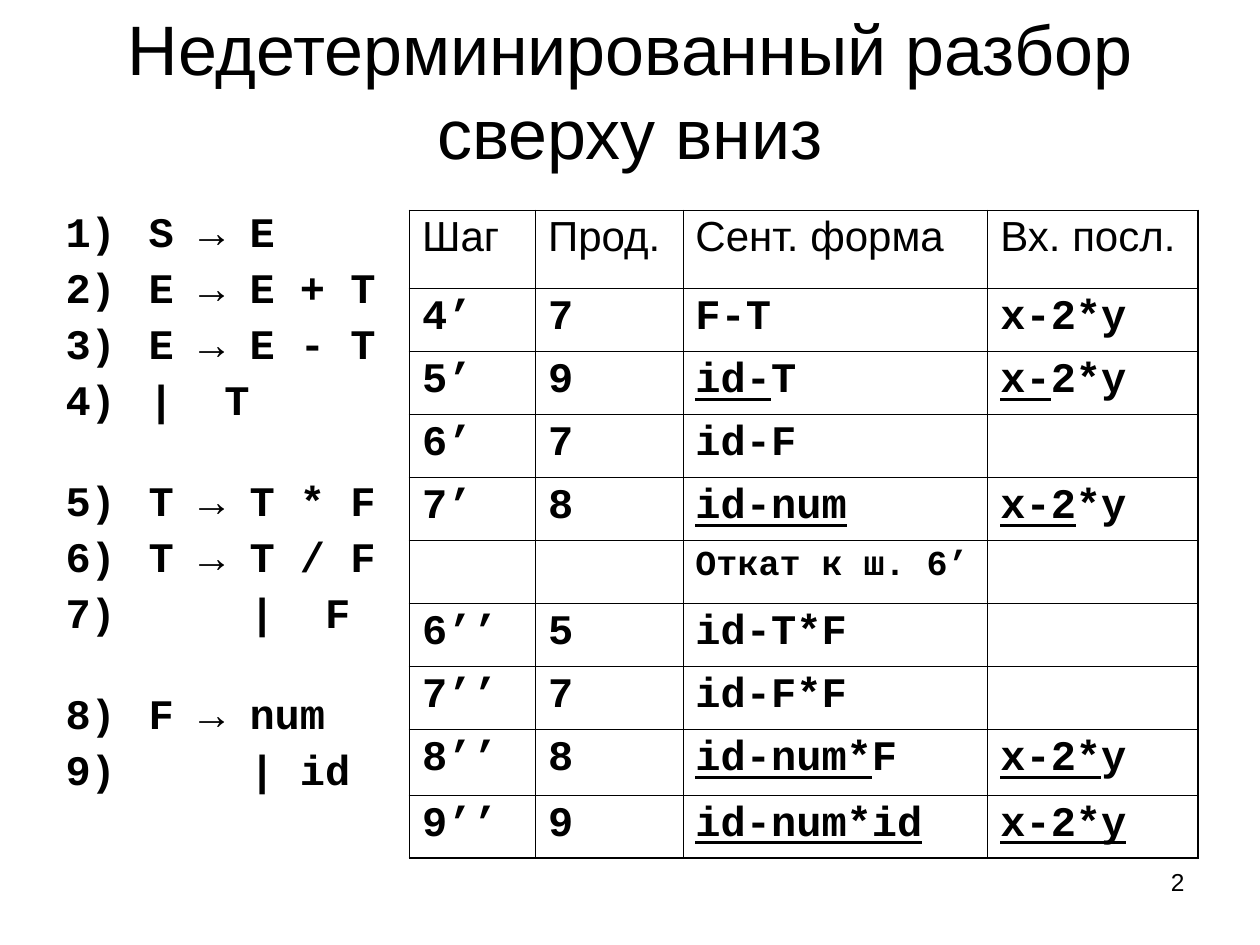
from dataclasses import dataclass

from lxml.etree import SubElement
from pptx import Presentation
from pptx.dml.color import RGBColor
from pptx.enum.text import MSO_ANCHOR, MSO_AUTO_SIZE, PP_ALIGN
from pptx.oxml import parse_xml
from pptx.oxml.ns import nsdecls, qn
from pptx.util import Inches, Pt


@dataclass(frozen=True)
class Theme:
    ink: str = "000000"
    sans: str = "Arial"
    mono: str = "Courier New"
    title_size: int = 40
    text_size: int = 24
    note_size: int = 20
    number_size: int = 14
    outer_line: float = 1.08
    inner_line: float = 0.45


THEME = Theme()
INK = RGBColor.from_string(THEME.ink)
TITLE_FONT = {"name": THEME.sans, "size": Pt(THEME.title_size), "bold": False}
HEADER_FONT = {"name": THEME.sans, "size": Pt(THEME.text_size), "bold": False}
CODE_FONT = {"name": THEME.mono, "size": Pt(THEME.text_size), "bold": True}
NOTE_FONT = {**CODE_FONT, "size": Pt(THEME.note_size)}
NUMBER_FONT = {"name": THEME.sans, "size": Pt(THEME.number_size)}

GRAMMAR_GROUPS = [
    ["S → E", "E → E + T", "E → E - T", "|  T"],
    ["T → T * F", "T → T / F", "    |  F"],
    ["F → num", "    | id"],
]
HEADERS = ["Шаг", "Прод.", "Сент. форма", "Вх. посл."]
ROLLBACK = "Откат к ш. 6’"
UNDERLINE_END = "|"
STEPS = [
    ["4’", "7", "F-T", "x-2*y"],
    ["5’", "9", "id-|T", "x-|2*y"],
    ["6’", "7", "id-F", ""],
    ["7’", "8", "id-num|", "x-2|*y"],
    ["", "", ROLLBACK, ""],
    ["6’’", "5", "id-T*F", ""],
    ["7’’", "7", "id-F*F", ""],
    ["8’’", "8", "id-num*|F", "x-2*|y"],
    ["9’’", "9", "id-num*id|", "x-2*y|"],
]
COLUMN_WIDTHS = [1, 1.17, 2.42, 1.67]
ROW_HEIGHTS = [0.62] + [0.5] * 7 + [0.52, 0.5]


def apply_format(target, values):
    for name, value in values.items():
        setattr(target, name, value)


def add_run(paragraph, text, font_values):
    run = paragraph.add_run()
    run.text = text
    apply_format(run.font, font_values)
    run.font.color.rgb = INK


def place(shape, box):
    values = [Inches(length) for length in box]
    apply_format(shape, dict(zip(("left", "top", "width", "height"), values)))


def fill_title(shape, box):
    place(shape, box)
    apply_format(shape.text_frame, {
        "word_wrap": True,
        "auto_size": MSO_AUTO_SIZE.NONE,
        "vertical_anchor": MSO_ANCHOR.MIDDLE,
    })
    paragraph = shape.text_frame.paragraphs[0]
    paragraph.alignment = PP_ALIGN.CENTER
    add_run(paragraph, "Недетерминированный разбор сверху вниз", TITLE_FONT)


def number_paragraph(paragraph):
    properties = paragraph._p.get_or_add_pPr()
    properties.set("marL", str(Inches(0.66)))
    properties.set("indent", str(-Inches(0.66)))
    color = SubElement(properties, qn("a:buClr"))
    SubElement(color, qn("a:srgbClr"), val=THEME.ink)
    SubElement(properties, qn("a:buFont"), typeface=THEME.mono)
    SubElement(properties, qn("a:buAutoNum"), type="arabicParenR")


def fill_grammar(shape, box):
    place(shape, box)
    frame = shape.text_frame
    apply_format(frame, {
        "word_wrap": True,
        "auto_size": MSO_AUTO_SIZE.NONE,
        "margin_top": Inches(0.1),
    })
    for group_index, group in enumerate(GRAMMAR_GROUPS):
        for rule_index, rule in enumerate(group):
            first = group_index == rule_index == 0
            paragraph = frame.paragraphs[0] if first else frame.add_paragraph()
            number_paragraph(paragraph)
            gap = 0 if first else 6 if rule_index else 32
            apply_format(paragraph, {"line_spacing": 0.9, "space_before": Pt(gap)})
            add_run(paragraph, rule, CODE_FONT)


def draw_borders(cell, outer_sides):
    properties = cell._tc.get_or_add_tcPr()
    for index, side in enumerate("LRTB"):
        width = THEME.outer_line if side in outer_sides else THEME.inner_line
        properties.insert(index, parse_xml(
            f'<a:ln{side} {nsdecls("a")} w="{Pt(width)}"><a:solidFill>'
            f'<a:srgbClr val="{THEME.ink}"/></a:solidFill></a:ln{side}>'
        ))


def fill_cell(cell, text, font_values):
    cell.fill.background()
    if not text:
        return
    paragraph = cell.text_frame.paragraphs[0]
    paragraph.line_spacing = 0.93
    underlined, marker, plain = text.partition(UNDERLINE_END)
    if marker:
        add_run(paragraph, underlined, {**font_values, "underline": True})
    else:
        plain = text
    if plain:
        add_run(paragraph, plain, font_values)


def add_parse_table(slide, box):
    rows = [HEADERS] + STEPS
    lengths = [Inches(length) for length in box]
    table = slide.shapes.add_table(len(rows), len(HEADERS), *lengths).table
    apply_format(table, {"first_row": False, "horz_banding": False})
    for column, width in zip(table.columns, COLUMN_WIDTHS):
        column.width = Inches(width)
    for row, height in zip(table.rows, ROW_HEIGHTS):
        row.height = Inches(height)
    for row_index, texts in enumerate(rows):
        for column_index, text in enumerate(texts):
            cell = table.cell(row_index, column_index)
            font_values = HEADER_FONT if row_index == 0 else CODE_FONT
            fill_cell(cell, text, NOTE_FONT if text == ROLLBACK else font_values)
            edges = {
                "L": column_index == 0,
                "R": column_index == len(HEADERS) - 1,
                "T": row_index == 0,
                "B": row_index == len(rows) - 1,
            }
            draw_borders(cell, [side for side, outer in edges.items() if outer])


def add_page_number(slide, box):
    shape = slide.shapes.add_textbox(*[Inches(length) for length in box])
    shape.text_frame.word_wrap = True
    paragraph = shape.text_frame.paragraphs[0]
    paragraph.alignment = PP_ALIGN.RIGHT
    add_run(paragraph, "2", NUMBER_FONT)


def main():
    presentation = Presentation()
    presentation.slide_width = Inches(10)
    presentation.slide_height = Inches(7.5)
    slide = presentation.slides.add_slide(presentation.slide_layouts[1])
    add_page_number(slide, (7.17, 6.83, 2.33, 0.52))
    fill_title(slide.shapes.title, (0.5, 0.17, 9, 1.08))
    fill_grammar(slide.placeholders[1], (0.42, 1.58, 2.67, 5.17))
    add_parse_table(slide, (3.25, 1.67, 6.25, 5.17))
    presentation.save("out.pptx")


if __name__ == "__main__":
    main()
